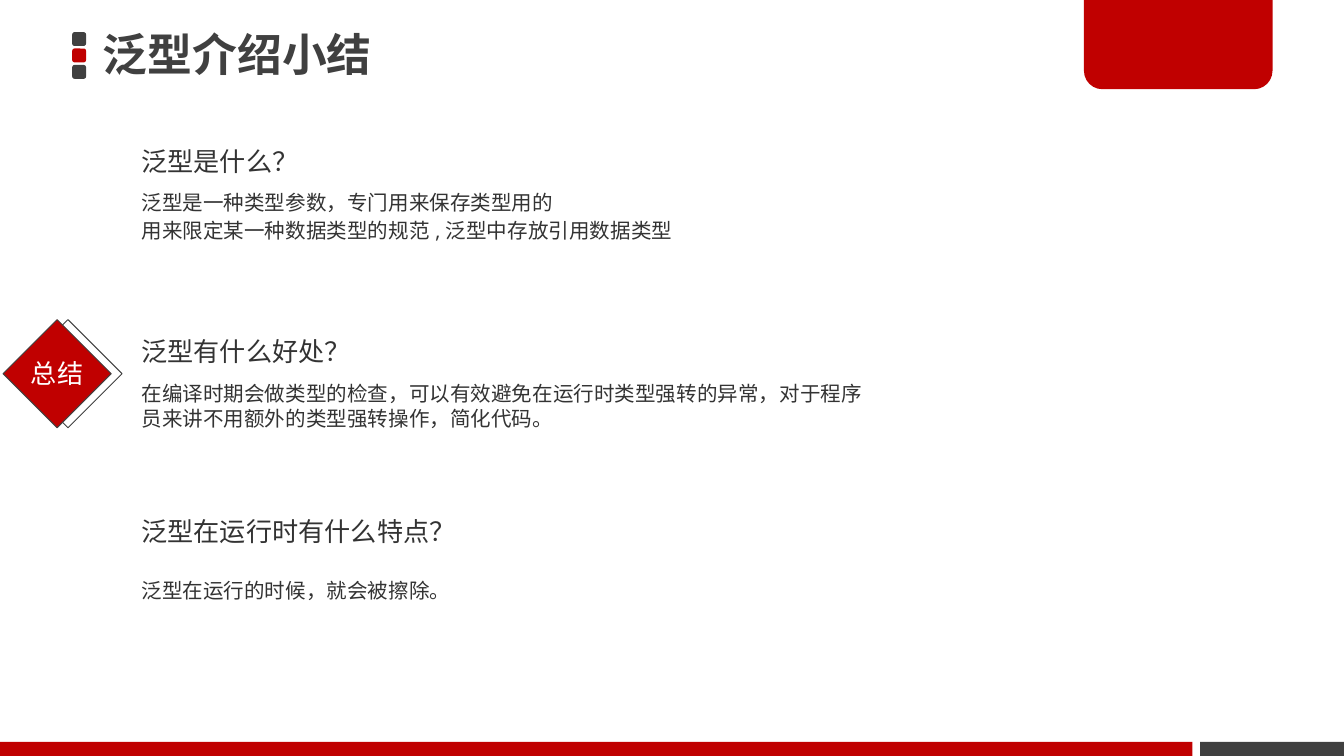
from pptx import Presentation
from pptx.dml.color import RGBColor
from pptx.enum.shapes import MSO_SHAPE as Kind
from pptx.enum.text import MSO_ANCHOR as Anchor, PP_ALIGN as Align
from pptx.oxml.ns import qn
from pptx.util import Pt
from lxml.etree import SubElement

INK = {"red": "C00000", "dark": "404040", "text": "333333", "white": "FFFFFF"}
CJK, LATIN = "Noto Sans CJK JP", "Open Sans"
TOPICS = [
    (67, 95, "泛型是什么？", ["泛型是一种类型参数，专门用来保存类型用的",
                         "用来限定某一种数据类型的规范 , 泛型中存放引用数据类型"]),
    (168.5, 196.5, "泛型有什么好处？",
     ["在编译时期会做类型的检查，可以有效避免在运行时类型强转的异常，"
      "对于程序员来讲不用额外的类型强转操作，简化代码。"]),
    (265, 295.2, "泛型在运行时有什么特点？", ["泛型在运行的时候，就会被擦除。"]),
]


def tint(name):
    """Return the named colour."""
    return RGBColor.from_string(INK[name])


def place(item, box):
    """Move and size an item to a box in points."""
    item.left, item.top, item.width, item.height = map(Pt, box)


def paint(shape, fill=None, line=None):
    """Set the fill and line of a shape and drop its shadow."""
    shape.shadow.inherit = False
    if fill:
        shape.fill.solid()
        shape.fill.fore_color.rgb = tint(fill)
    else:
        shape.fill.background()
    if line:
        shape.line.color.rgb = tint(line)
        shape.line.width = Pt(0.5)
    else:
        shape.line.fill.background()


def draw(slide, kind, box, fill=None, line=None):
    """Add a painted preset shape."""
    shape = slide.shapes.add_shape(kind, *map(Pt, box))
    paint(shape, fill, line)
    return shape


def write(shape, lines, size, font, ink, bold=False, anchor=Anchor.MIDDLE,
          align=Align.LEFT, lead=1.0):
    """Fill a shape with paragraphs in one style."""
    frame = shape.text_frame
    frame.word_wrap = True
    frame.vertical_anchor = anchor
    frame.margin_left = frame.margin_right = Pt(5.4)
    frame.margin_top = frame.margin_bottom = Pt(2.7)
    for i, line in enumerate(lines):
        para = frame.add_paragraph() if i else frame.paragraphs[0]
        para.alignment = align
        para.line_spacing = lead
        para.space_before = Pt(size * 0.2 if i else 0)
        run = para.add_run()
        run.text = line
        run.font.size, run.font.bold, run.font.name = Pt(size), bold, font
        run.font.color.rgb = tint(ink)
        SubElement(run.font._element, qn("a:ea"), typeface=font)


def header(slide, x, y):
    """Place the three marks and the title."""
    for i, fill in enumerate(["dark", "red", "dark"]):
        draw(slide, Kind.ROUNDED_RECTANGLE, (x, y + 8.8 * i, 7.4, 7.4), fill)
    title = slide.shapes.title
    place(title, (x + 11, y - 3.5, 518, 30))
    write(title, ["泛型介绍小结"], 24, CJK, "dark", bold=True)


def corner(slide, x, y, wide, high):
    """Place the red tab with its rounded lower corners."""
    tab = draw(slide, Kind.ROUND_2_SAME_RECTANGLE, (x, y, wide, high), "red")
    tab.adjustments[0], tab.adjustments[1] = 0, 0.2


def footer(slide, y, high):
    """Place the two bars along the bottom edge."""
    draw(slide, Kind.RECTANGLE, (0, y, 638.8, high), "red")
    draw(slide, Kind.RECTANGLE, (643, y, 77, high), "dark")


def badge(slide, x, y, side):
    """Place the double diamond and its label."""
    for shift, fill in [(5.8, None), (0, "red")]:
        tile = draw(slide, Kind.RECTANGLE, (x + shift, y, side, side), fill, "dark")
        tile.rotation = 45
    label = slide.shapes.add_textbox(*map(Pt, (x - 8.5, y + 10, 58, 22)))
    write(label, ["总结"], 14, CJK, "white", align=Align.CENTER, lead=0.9)


def topic(slide, x, top, low, head, lines):
    """Place a heading and the answer below it."""
    name = slide.shapes.add_textbox(*map(Pt, (x, top, 261, 30)))
    write(name, [head], 14, LATIN, "text", anchor=Anchor.TOP, lead=1.5)
    body = slide.shapes.add_textbox(*map(Pt, (x, low, 397.5, 41.8)))
    write(body, lines, 11, LATIN, "text")


def main():
    """Build the slide and save it."""
    deck = Presentation()
    deck.slide_width, deck.slide_height = Pt(720), Pt(405)
    slide = deck.slides.add_slide(deck.slide_layouts[5])
    corner(slide, 580.7, -1.5, 101, 49.3)
    footer(slide, 397.5, 7.5)
    badge(slide, 10.1, 179.7, 41)
    header(slide, 38.7, 17.2)
    for parts in TOPICS:
        topic(slide, 70.4, *parts)
    deck.save("out.pptx")


if __name__ == "__main__":
    main()
